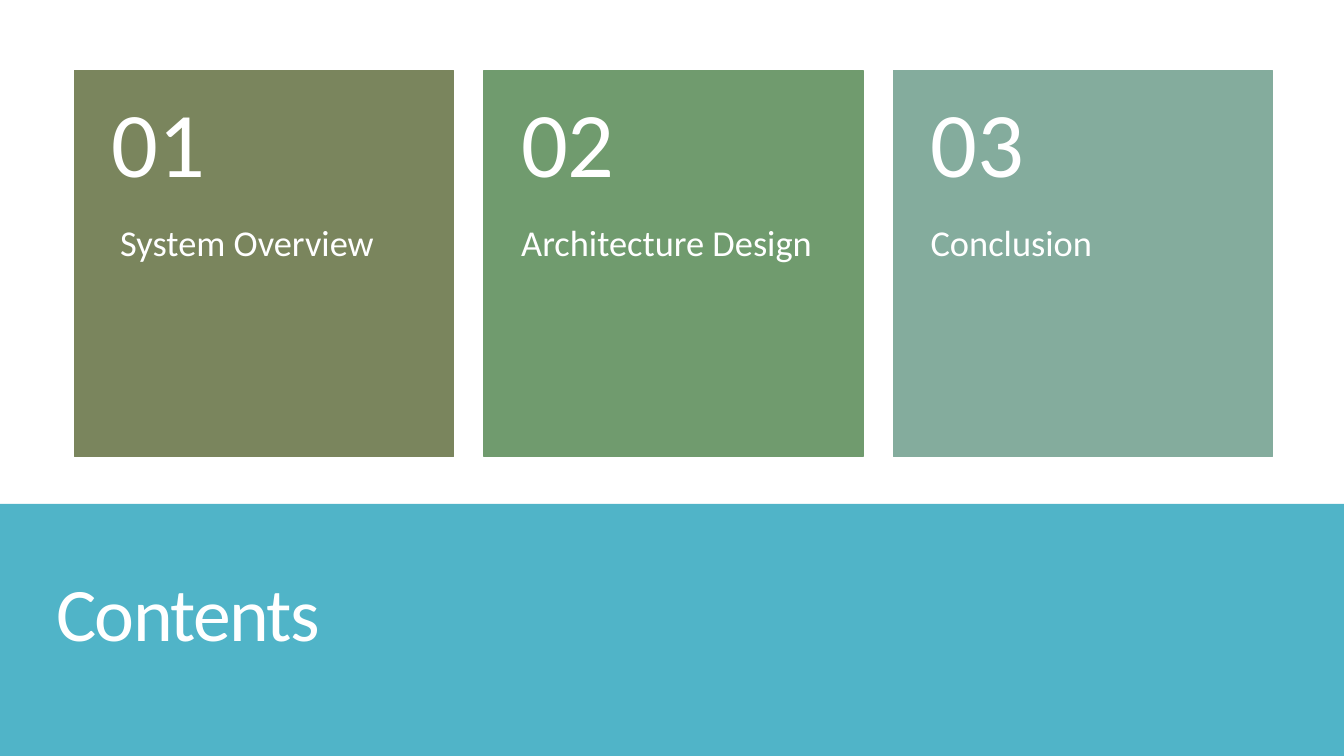
import pptx
import pptx.dml.color
import pptx.enum.shapes
import pptx.enum.text
import pptx.util

RGBColor = pptx.dml.color.RGBColor
WHITE = RGBColor(0xFF, 0xFF, 0xFF)
TEAL = RGBColor(0x50, 0xB4, 0xC8)
OLIVE = RGBColor(0x7A, 0x85, 0x5D)
GREEN = RGBColor(0x70, 0x9B, 0x6E)
SAGE = RGBColor(0x84, 0xAC, 0x9D)

SLIDE_W, SLIDE_H = 13.33, 7.5
MARGIN, COLUMN_W, GUTTER = 0.74, 3.76, 0.3
CARD_TOP, CARD_H = 0.7, 3.83
NUMBER_H = 0.4 * CARD_H
BAND_TOP = SLIDE_H * 2 / 3

SECTIONS = [
    ("01", " System Overview", OLIVE),
    ("02", "Architecture Design", GREEN),
    ("03", "Conclusion", SAGE),
]


def write_text(tf, text, size, font="Calibri", color=WHITE, line_spacing=0.9, tracking=None):
    p = tf.paragraphs[0]
    p.line_spacing = line_spacing
    r = p.add_run()
    r.text = text
    r.font.name = font
    r.font.size = pptx.util.Pt(size)
    r.font.color.rgb = color
    if tracking is not None:
        r._r.get_or_add_rPr().set("spc", str(round(tracking * 100)))


class Deck:
    def __init__(self):
        self.prs = pptx.Presentation()
        self.prs.slide_width = pptx.util.Inches(SLIDE_W)
        self.prs.slide_height = pptx.util.Inches(SLIDE_H)
        self.s = self.prs.slides.add_slide(self.prs.slide_layouts[6])

    def column(self, index):
        return MARGIN + index * (COLUMN_W + GUTTER)

    def rect(self, box, color, outlined=False):
        sp = self.s.shapes.add_shape(
            pptx.enum.shapes.MSO_SHAPE.RECTANGLE, *map(pptx.util.Inches, box))
        sp.shadow.inherit = False
        sp.fill.solid()
        sp.fill.fore_color.rgb = color
        if outlined:
            sp.line.color.rgb = color
            sp.line.width = pptx.util.Pt(1)
        else:
            sp.line.fill.background()

    def text(self, box, text, insets=(0.1, 0.05, 0.1, 0.05), middle=False, **fmt):
        tf = self.s.shapes.add_textbox(*map(pptx.util.Inches, box)).text_frame
        tf.word_wrap = True
        tf.margin_left, tf.margin_top, tf.margin_right, tf.margin_bottom = map(
            pptx.util.Inches, insets)
        anchor = pptx.enum.text.MSO_ANCHOR
        tf.vertical_anchor = anchor.MIDDLE if middle else anchor.TOP
        write_text(tf, text, **fmt)

    def card(self, index, number, label, color):
        left = self.column(index)
        self.rect((left, CARD_TOP, COLUMN_W, CARD_H), color, outlined=True)
        self.text((left, CARD_TOP + NUMBER_H, COLUMN_W, CARD_H - NUMBER_H), label,
                  insets=(0.37, 0, 0.37, 0.36), size=26)
        self.text((left, CARD_TOP, COLUMN_W, NUMBER_H), number,
                  insets=(0.37, 0.18, 0.37, 0.18), middle=True, size=66)


def main():
    deck = Deck()
    deck.rect((0, BAND_TOP, SLIDE_W, SLIDE_H - BAND_TOP), TEAL)
    deck.text((0.46, 5.23, 11.78, 1.81), "Contents", middle=True,
              size=54, line_spacing=0.85, tracking=-1.2)
    for index, section in enumerate(SECTIONS):
        deck.card(index, *section)
    deck.prs.save("out.pptx")


if __name__ == "__main__":
    main()
